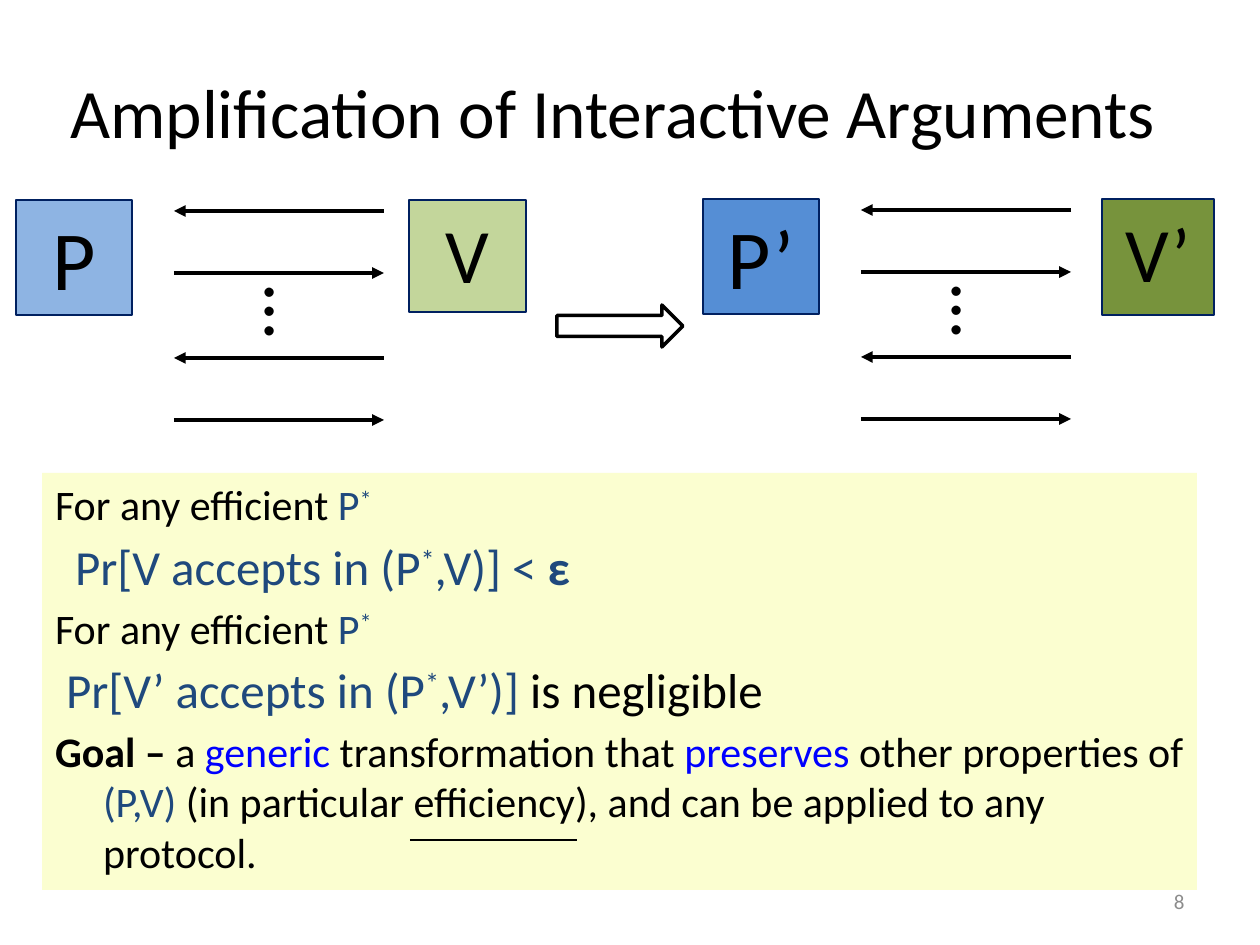
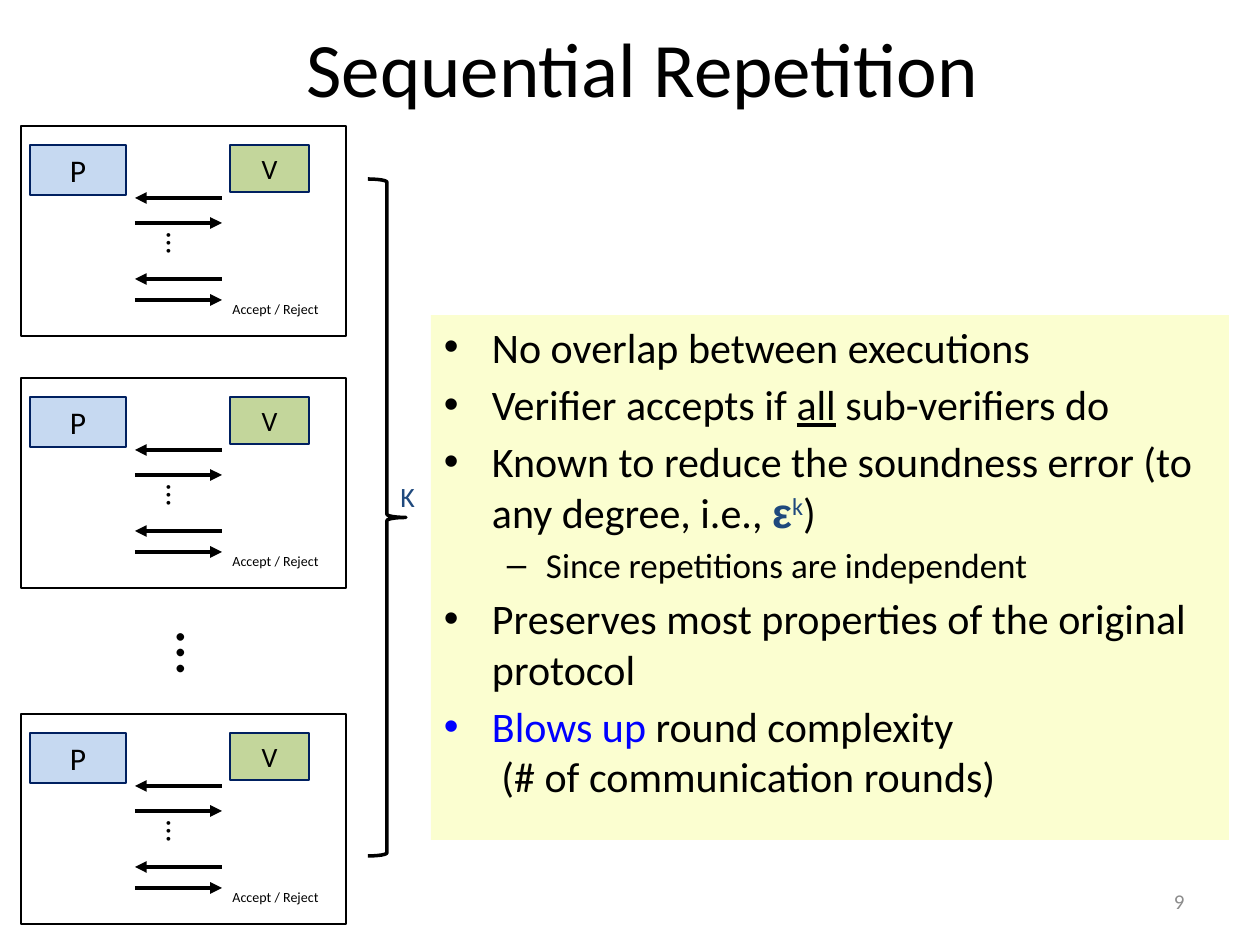
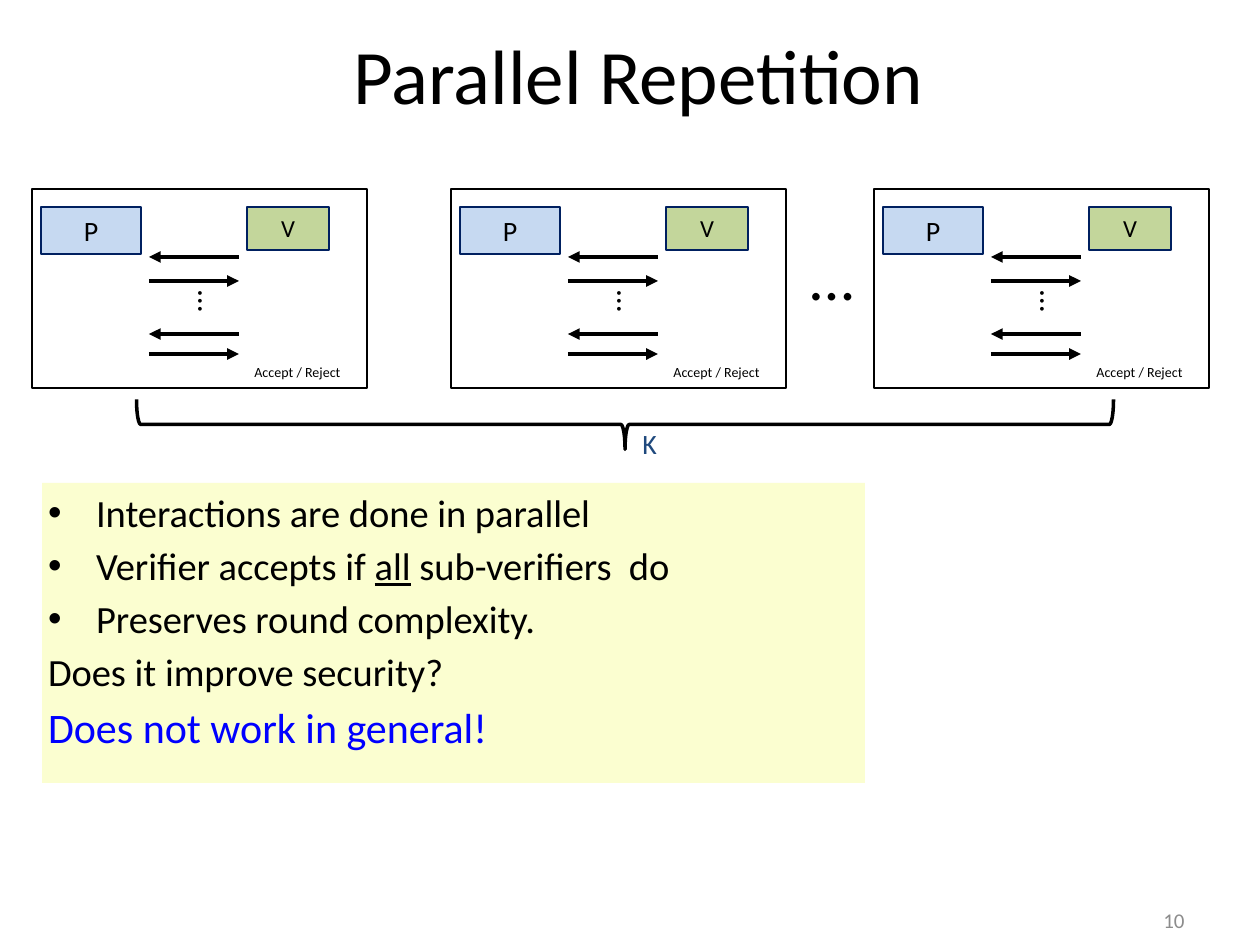
"""Build three slides on amplifying interactive arguments by repetition."""
from dataclasses import dataclass, replace

from lxml import etree
from pptx import Presentation
from pptx.dml.color import RGBColor
from pptx.enum.shapes import MSO_CONNECTOR, MSO_SHAPE
from pptx.enum.text import MSO_ANCHOR, MSO_AUTO_SIZE, PP_ALIGN
from pptx.oxml.ns import qn
from pptx.util import Emu, Pt

RECTANGLE = MSO_SHAPE.RECTANGLE
RIGHT_ARROW = MSO_SHAPE.RIGHT_ARROW
RIGHT_BRACE = MSO_SHAPE.RIGHT_BRACE
STRAIGHT = MSO_CONNECTOR.STRAIGHT
LEFT, CENTER, RIGHT = PP_ALIGN.LEFT, PP_ALIGN.CENTER, PP_ALIGN.RIGHT
TOP, MIDDLE = MSO_ANCHOR.TOP, MSO_ANCHOR.MIDDLE
FIT, FIXED = MSO_AUTO_SIZE.SHAPE_TO_FIT_TEXT, MSO_AUTO_SIZE.NONE

EMU_PER_PX = 914400 / 126
SLIDE_SIZE = (1260, 945)
TITLE_ONLY = 5
COLORS = {
    "black": "000000",
    "gray": "8C8C8C",
    "navy": "002060",
    "math": "1F497D",
    "accent": "0000FF",
    "panel": "FBFED0",
    "prover": "8EB4E3",
    "strong_prover": "558ED5",
    "pale_prover": "C6D9F1",
    "verifier": "C3D69B",
    "strong_verifier": "77933C",
}
MATH = {"color": "math"}
ACCENT = {"color": "accent"}
LARGE = {"size": 28}
LARGE_MATH = {"size": 28, "color": "math"}
RAISED = {"color": "math", "raised": True}
LARGE_RAISED = {"size": 28, **RAISED}


@dataclass
class Protocol:
    """Geometry of one exchange, relative to its left top corner."""
    prover: tuple
    verifier: tuple
    arrow_span: tuple
    arrow_rows: tuple
    dots: tuple
    sizes: tuple
    prover_color: str = "pale_prover"
    verifier_color: str = "verifier"
    mark: str = ""
    frame: tuple = ()
    verdict: tuple = ()


BASIC = Protocol((0, 0, 116, 115), (393, 0, 117, 112), (158, 368), (11, 73, 158, 220),
                 (222, 78, 116, 106), (48, 44, 44), "prover")
AMPLIFIED = replace(BASIC, verifier=(399, 0, 112, 116), mark="’",
                    prover_color="strong_prover", verifier_color="strong_verifier")
SEQUENTIAL = Protocol((9, 19, 96, 50), (209, 19, 79, 47), (114, 201), (72, 97, 153, 174),
                      (147, 111, 53, 20), (18, 16, 18),
                      frame=(325, 210), verdict=(199, 168))
PARALLEL = Protocol((9, 18, 100, 47), (215, 18, 82, 43), (117, 207), (68, 92, 145, 165),
                    (154, 89, 50, 50), (16, 14, 18),
                    frame=(335, 199), verdict=(210, 168))


def px(length):
    """Turn px into EMU."""
    return Emu(round(length * EMU_PER_PX))


def rgb(name):
    """Look up a named color."""
    return RGBColor.from_string(COLORS[name])


def write(paragraph, text, size=24, color="black", font="Calibri",
          bold=False, underline=False, raised=False):
    """Append formatted text, with a line break at each newline."""
    for index, piece in enumerate(text.split("\n")):
        if index:
            paragraph.add_line_break()
        run = paragraph.add_run()
        run.text = piece
        run.font.size = Pt(size)
        run.font.name = font
        run.font.bold = bold
        run.font.underline = underline
        run.font.color.rgb = rgb(color)
        if raised:
            run._r.get_or_add_rPr().set("baseline", "30000")


def indent(paragraph, margin, first, bullet):
    """Set the margin, first line indent and bullet of a paragraph."""
    properties = paragraph._p.get_or_add_pPr()
    properties.set("marL", str(px(margin)))
    properties.set("indent", str(px(first)))
    if bullet:
        etree.SubElement(properties, qn("a:buFont")).set("typeface", "Arial")
        etree.SubElement(properties, qn("a:buChar")).set("char", bullet)
    else:
        etree.SubElement(properties, qn("a:buNone"))


def item(*runs, bullet="•", level=0, first=-48):
    """Describe one body paragraph."""
    return {"runs": runs, "bullet": bullet, "level": level, "first": first}


class Deck:
    """Hold the presentation, its style and the current slide."""

    def __init__(self):
        """Start an empty presentation."""
        self.presentation = Presentation()
        self.presentation.slide_width, self.presentation.slide_height = map(px, SLIDE_SIZE)
        self.slide = None

    def start(self, title, box, number, size=44, number_top=876):
        """Add a slide with its title and number."""
        layout = self.presentation.slide_layouts[TITLE_ONLY]
        self.slide = self.presentation.slides.add_slide(layout)
        shape = self.slide.shapes.title
        shape.left, shape.top, shape.width, shape.height = map(px, box)
        frame = shape.text_frame
        frame.auto_size = FIXED
        frame.vertical_anchor = MIDDLE
        frame.paragraphs[0].alignment = CENTER
        write(frame.paragraphs[0], title, size=size)
        self.label(number, (903, number_top, 294, 50), alignment=RIGHT,
                   anchor=MIDDLE, fit=FIXED, size=12, color="gray")

    def shape(self, kind, box, fill=None, line=None, width=0.75, rotation=0):
        """Add a preset shape."""
        shape = self.slide.shapes.add_shape(kind, *map(px, box))
        shape.shadow.inherit = False
        shape.rotation = rotation
        if fill:
            shape.fill.solid()
            shape.fill.fore_color.rgb = rgb(fill)
        else:
            shape.fill.background()
        if line:
            shape.line.color.rgb = rgb(line)
            shape.line.width = Pt(width)
        else:
            shape.line.fill.background()
        return shape

    def label(self, text, box, rotation=0, alignment=LEFT, anchor=TOP, fit=FIT, **style):
        """Add a text box with one line."""
        shape = self.slide.shapes.add_textbox(*map(px, box))
        shape.rotation = rotation
        frame = shape.text_frame
        frame.word_wrap = True
        frame.auto_size = fit
        frame.vertical_anchor = anchor
        frame.paragraphs[0].alignment = alignment
        write(frame.paragraphs[0], text, **style)

    def party(self, text, box, fill, size):
        """Add a prover or verifier box."""
        frame = self.shape(RECTANGLE, box, fill, "navy").text_frame
        frame.word_wrap = False
        frame.vertical_anchor = TOP
        frame.paragraphs[0].alignment = CENTER
        write(frame.paragraphs[0], text, size=size)

    def line(self, start, end, width=2.25, arrow=True):
        """Add a straight line or arrow."""
        connector = self.slide.shapes.add_connector(STRAIGHT, *map(px, (*start, *end)))
        connector.line.color.rgb = rgb("black")
        connector.line.width = Pt(width)
        properties = connector.element.spPr
        if arrow:
            outline = properties.find(qn("a:ln"))
            etree.SubElement(outline, qn("a:tailEnd")).set("type", "triangle")
        etree.SubElement(properties, qn("a:effectLst"))

    def body(self, box, items, size=24, insets=(13, 6, 13, 6)):
        """Add the tinted panel with its paragraphs."""
        frame = self.shape(RECTANGLE, box, "panel").text_frame
        frame.word_wrap = True
        frame.vertical_anchor = TOP
        (frame.margin_left, frame.margin_top,
         frame.margin_right, frame.margin_bottom) = map(px, insets)
        for index, entry in enumerate(items):
            paragraph = frame.add_paragraph() if index else frame.paragraphs[0]
            paragraph.alignment = LEFT
            paragraph.level = entry["level"]
            paragraph.space_before = Pt(4)
            margin, first = (102, -39) if entry["level"] else (48, entry["first"])
            indent(paragraph, margin, first, entry["bullet"])
            for run in entry["runs"]:
                text, style = (run, {}) if isinstance(run, str) else run
                write(paragraph, text, **{"size": size, **style})

    def protocol(self, left, top, protocol):
        """Add a prover, a verifier and the messages between them."""
        def place(box):
            """Shift a relative box to the protocol."""
            return (left + box[0], top + box[1], *box[2:])

        prover_size, verifier_size, dots_size = protocol.sizes
        self.party("P" + protocol.mark, place(protocol.prover),
                   protocol.prover_color, prover_size)
        self.party("V" + protocol.mark, place(protocol.verifier),
                   protocol.verifier_color, verifier_size)
        near, far = protocol.arrow_span
        for index, row in enumerate(protocol.arrow_rows):
            start, end = (near, far) if index % 2 else (far, near)
            self.line(place((start, row)), place((end, row)))
        self.label("…", place(protocol.dots), rotation=90, size=dots_size)
        if protocol.frame:
            self.shape(RECTANGLE, (left, top, *protocol.frame), line="black", width=1)
            self.label("Accept / Reject", place((*protocol.verdict, 122, 28)), size=8)

    def brace(self, box, label_box, rotation=0):
        """Add a brace that counts the repetitions."""
        self.shape(RIGHT_BRACE, box, line="black", width=2, rotation=rotation)
        self.label("K", label_box, size=16, color="math")


def amplification(deck):
    """Build the slide that states the goal."""
    deck.start("Amplification of Interactive Arguments", (32, 42, 1162, 137), "8", size=39.6)
    any_prover = item("For any efficient ", ("P", MATH), ("*", RAISED), bullet=None)
    deck.body((42, 473, 1155, 417), [
        any_prover,
        item(("Pr[V accepts in (P", LARGE_MATH), ("*", LARGE_RAISED), (",V)] < ", LARGE_MATH),
             ("ε", {**LARGE_MATH, "bold": True}), bullet=None, first=-28),
        any_prover,
        item(("Pr[V’ accepts in (P", LARGE_MATH), ("*", LARGE_RAISED),
             (",V’)] ", LARGE_MATH), ("is negligible", LARGE), bullet=None, first=-37),
        item(("Goal – ", {"bold": True}), "a ", ("generic", ACCENT), " transformation that ",
             ("preserves", ACCENT), " other properties of ", ("(P,V) ", MATH),
             "(in particular efficiency), and can be applied to any protocol.", bullet=None),
    ])
    deck.protocol(16, 200, BASIC)
    deck.protocol(703, 199, AMPLIFIED)
    deck.shape(RIGHT_ARROW, (557, 305, 126, 42), line="black", width=2)
    deck.line((410, 840), (577, 840), width=1.5, arrow=False)


def sequential(deck):
    """Build the slide on sequential repetition."""
    deck.start("Sequential Repetition", (88, 14, 1109, 106), "9")
    deck.body((431, 315, 798, 525), [
        item("No overlap between executions"),
        item("Verifier accepts if ", ("all", {"underline": True}), " sub-verifiers do"),
        item("Known to reduce the soundness error (to any degree, i.e., ",
             ("ε", {"color": "math", "font": "Arial", "bold": True}), ("k", RAISED), ")"),
        item(("Since repetitions are independent", {"size": 20}), bullet="–", level=1),
        item("Preserves most properties of the original protocol"),
        item(("Blows up ", ACCENT), "round complexity\n (# of communication rounds)"),
    ])
    deck.label("…", (160, 617, 84, 89), rotation=90, size=36)
    for top in (126, 378, 714):
        deck.protocol(21, top, SEQUENTIAL)
    deck.brace((368, 179, 38, 677), (388, 473, 78, 47))


def parallel(deck):
    """Build the slide on parallel repetition."""
    deck.start("Parallel Repetition", (84, 21, 1109, 106), "10", number_top=895)
    deck.body((42, 483, 823, 300), [
        item("Interactions are done in parallel"),
        item("Verifier accepts if ", ("all", {"underline": True}), " sub-verifiers  do"),
        item("Preserves round complexity."),
        item("Does it improve security?", bullet=None),
        item(("Does not work in general!", {"size": 24, **ACCENT}), bullet=None),
    ], size=22, insets=(6, 6, 0, 13))
    deck.label("…", (798, 231, 84, 89), size=36)
    for left in (32, 451, 874):
        deck.protocol(left, 189, PARALLEL)
    deck.brace((600, -64, 50, 977), (630, 420, 78, 47), rotation=90)


def main():
    """Build and save the presentation."""
    deck = Deck()
    amplification(deck)
    sequential(deck)
    parallel(deck)
    deck.presentation.save("out.pptx")


if __name__ == "__main__":
    main()
